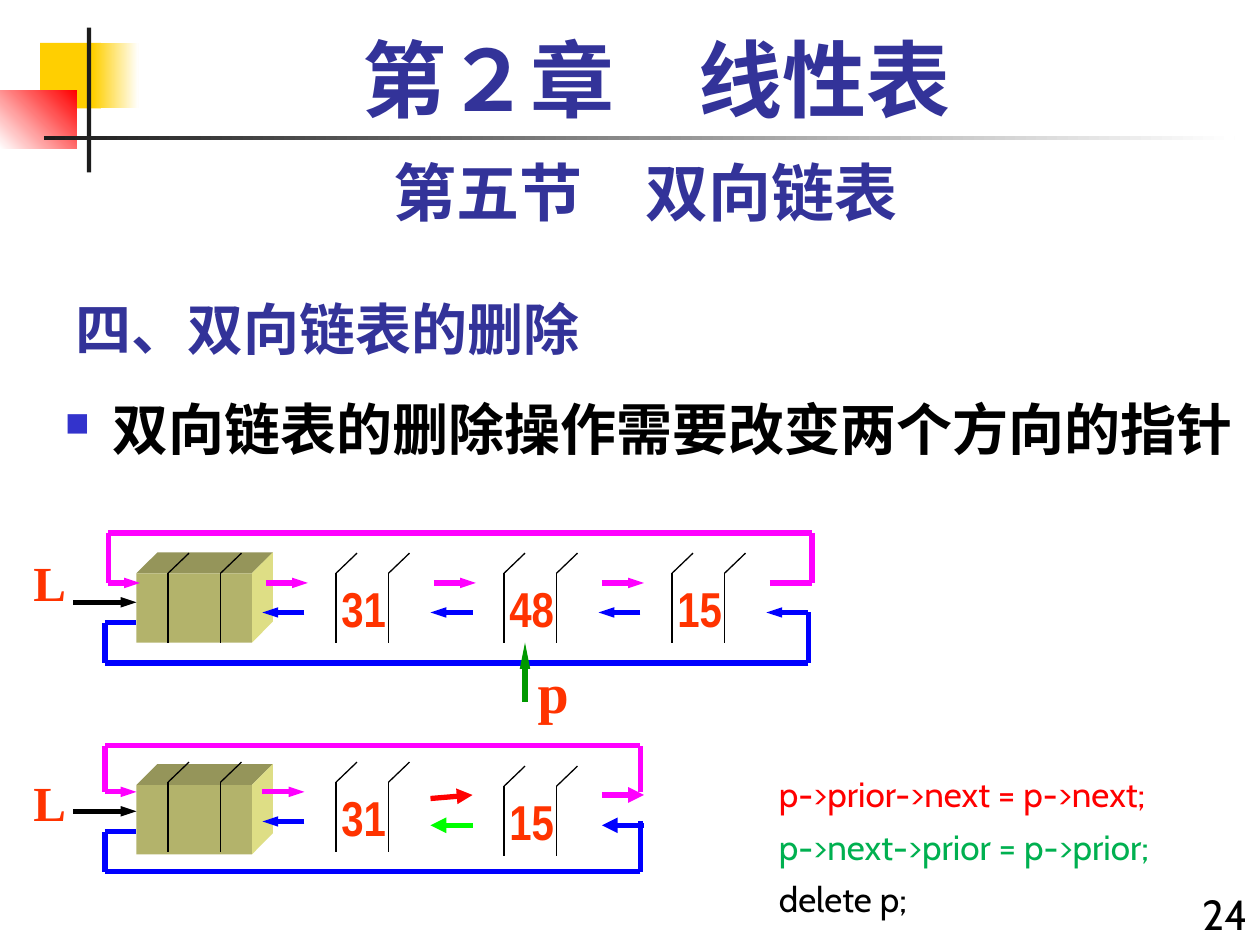
from lxml import etree
from pptx import Presentation
from pptx.dml import color as dml
from pptx.enum import shapes, text
from pptx.oxml import ns
from pptx.util import Pt

COLORS = {
    "yellow": "FFCF01", "white": "FFFFFF", "corner": "FF0000", "rule": "1C1C1C",
    "heading": "333399", "bullet": "3333CC", "ink": "000000", "label": "FF3300",
    "next": "FF00FF", "prior": "0000FF", "pointer": "009900",
    "new_next": "FF0000", "new_prior": "00FF00", "code_green": "00B050",
    "front": "B3B36B", "top": "95955A", "side": "DEDE85",
}
CJK = "Noto Sans CJK SC"
STEP = 96          # distance from one node to the next
NODE_LEFT = 96     # first pair of bars, measured from the left of a list
BARS = 30          # distance between the two bars of a node
NODE_HEIGHT = 39.6


def rgb(name):
    return dml.RGBColor.from_string(COLORS[name])


def sub(parent, tag, **attributes):
    return etree.SubElement(parent, ns.qn(tag), attributes)


def paint(shape, *names, angle=0):
    """Fill with one colour, or with a gradient from the first to the second."""
    shape.shadow.inherit = False
    shape.line.fill.background()
    if len(names) == 1:
        shape.fill.solid()
        shape.fill.fore_color.rgb = rgb(names[0])
        return
    shape.fill.gradient()
    shape.fill.gradient_angle = angle
    for stop, name in zip(shape.fill.gradient_stops, names):
        stop.color.rgb = rgb(name)


def add_rect(page, left, top, width, height, *names, angle=0):
    rect = page.shapes.add_shape(shapes.MSO_SHAPE.RECTANGLE,
                                 Pt(left), Pt(top), Pt(width), Pt(height))
    paint(rect, *names, angle=angle)


def add_face(page, points, name):
    start, *rest = [(Pt(x), Pt(y)) for x, y in points]
    builder = page.shapes.build_freeform(*start)
    builder.add_line_segments(rest)
    paint(builder.convert_to_shape(), name)


def add_line(page, x1, y1, x2, y2, name="ink", weight=3, arrow=False,
             head_width="sm", head_length="med"):
    line = page.shapes.add_connector(shapes.MSO_CONNECTOR.STRAIGHT,
                                     Pt(x1), Pt(y1), Pt(x2), Pt(y2))
    line.line.width = Pt(weight)
    line.line.color.rgb = rgb(name)
    if arrow:
        sub(line.line._get_or_add_ln(), "a:tailEnd",
            type="triangle", w=head_width, len=head_length)
    sub(line._element.spPr, "a:effectLst")


def add_path(page, points, name):
    for start, end in zip(points, points[1:]):
        add_line(page, *start, *end, name)


def add_text(page, left, top, width, height, lines, size, font,
             bold=True, align="LEFT", anchor="TOP", wrap=True, gap=0, bullet=False):
    """Write (wording, colour) lines into a text box."""
    box = page.shapes.add_textbox(Pt(left), Pt(top), Pt(width), Pt(height))
    frame = box.text_frame
    frame.word_wrap = wrap
    frame.vertical_anchor = getattr(text.MSO_ANCHOR, anchor)
    for index, (wording, name) in enumerate(lines):
        para = frame.add_paragraph() if index else frame.paragraphs[0]
        para.alignment = getattr(text.PP_ALIGN, align)
        if index:
            para.space_before = Pt(gap)
        if bullet:
            props = para._p.get_or_add_pPr()
            props.set("marL", str(Pt(27)))
            props.set("indent", str(Pt(-27)))
            sub(sub(props, "a:buClr"), "a:srgbClr", val=COLORS["bullet"])
            sub(props, "a:buSzPct", val="60000")
            sub(props, "a:buChar", char="■")
        span = para.add_run()
        span.text = wording
        for key, value in {"size": Pt(size), "bold": bold, "name": font}.items():
            setattr(span.font, key, value)
        span.font.color.rgb = rgb(name)
        sub(span._r.get_or_add_rPr(), "a:ea", typeface=CJK)


def draw_ornament(page, left, top):
    add_rect(page, left + 23, top + 24.5, 34.6, 37.5, "yellow")
    add_rect(page, left + 53.3, top + 24.5, 25.9, 37.5, "yellow", "white")
    add_rect(page, left, top + 51.8, 44, 33.1, "white", "corner", angle=45)
    add_rect(page, left + 49.7, top + 15.8, 2.5, 82.8, "rule")
    add_rect(page, left + 25.2, top + 77.8, 680.4, 2.5, "rule", "white")


def draw_headings(page, left, top):
    add_text(page, left + 48, top + 12, 654, 60, [("第２章　线性表", "heading")],
             48, "Times New Roman", align="CENTER")
    add_text(page, left + 36, top + 84, 666, 50, [("第五节　双向链表", "heading")],
             36, "Cabin", align="CENTER")
    add_text(page, left + 36, top + 156, 450, 54, [("四、双向链表的删除", "heading")],
             32, CJK, anchor="BOTTOM")
    add_text(page, left + 30, top + 222, 690, 120,
             [("双向链表的删除操作需要改变两个方向的指针", "ink")], 32, "Cabin", bullet=True)


def draw_block(page, left, top):
    """Solid head node, seen from the front with its top and right sides."""
    width, height, depth = 66, NODE_HEIGHT, 12
    right, bottom = left + width, top + height
    add_face(page, [(left, top), (left + depth, top - depth),
                    (right + depth, top - depth), (right, top)], "top")
    add_face(page, [(right, top), (right + depth, top - depth),
                    (right + depth, bottom - depth), (right, bottom)], "side")
    add_rect(page, left, top, width, height, "front")


def draw_node(page, left, top, value=None):
    for x in (left, left + BARS):
        add_line(page, x, top, x, top + NODE_HEIGHT, weight=0.75)
        add_line(page, x, top, x + 12, top - 11.5, weight=0.75)
    if value:
        add_text(page, left - 4.3, top - 0.7, 40.3, 41, [(value, "label")],
                 28, "Arial Narrow", align="CENTER", anchor="MIDDLE", wrap=False)


def draw_list(page, left, top, nodes, label_rise, block_drop, loop_rise, shift):
    """Head block, nodes as (value, drop), and both loops; shift moves the next links."""
    next_y, prior_y, end_y = top + 5.5, top + 22.4, top + 28.2
    right = left + 174 + STEP * len(nodes)
    add_text(page, left + 12, top - label_rise, 33, 41, [("L", "label")],
             28, "Times New Roman", align="CENTER", anchor="MIDDLE", wrap=False)
    draw_block(page, left + 78, top + block_drop)
    draw_node(page, left + NODE_LEFT, top)
    add_line(page, left + 42, top + 16.6, left + 78, top + 16.6, arrow=True)
    for index, (value, drop) in enumerate(nodes, 1):
        draw_node(page, left + NODE_LEFT + STEP * index, top + drop, value)
    start = left + 60 + shift
    add_path(page, [(right + shift, next_y), (right + shift, top - loop_rise),
                    (start, top - loop_rise), (start, next_y)], "next")
    add_line(page, start, next_y, start + 18, next_y, "next", arrow=True)
    add_path(page, [(right, prior_y), (right, top + 51.2), (left + 60, top + 51.2),
                    (left + 60, end_y), (left + 78, end_y)], "prior")


def draw_links(page, left, next_y, prior_y, shift=0, names=("next", "prior"),
               lift=0, head_width="sm"):
    """Pair of arrows between neighbouring nodes."""
    add_line(page, left + shift, next_y + lift, left + shift + 24, next_y, names[0],
             arrow=True, head_width=head_width)
    add_line(page, left + 24, prior_y, left, prior_y, names[1],
             arrow=True, head_width=head_width)


def draw_before(page, left, top):
    draw_list(page, left, top, [("31", 0), ("48", 0), ("15", 0)],
              label_rise=15.8, block_drop=0, loop_rise=23, shift=2)
    for index in range(3):
        draw_links(page, left + 150 + STEP * index, top + 5.5, top + 22.4, shift=2)
    last = left + 150 + STEP * 3
    add_line(page, last + 2, top + 5.5, last + 26, top + 5.5, "next")
    add_line(page, last + 24, top + 22.4, last, top + 22.4, "prior", arrow=True)
    add_line(page, left + 300, top + 73.4, left + 300, top + NODE_HEIGHT, "pointer",
             arrow=True, head_length="lg")
    add_text(page, left + 300, top + 44.6, 32.4, 45.4, [("p", "label")],
             32, "Times New Roman", align="CENTER", anchor="MIDDLE", wrap=False)


def draw_after(page, left, top):
    draw_list(page, left, top, [("31", 0), ("15", 2.3)],
              label_rise=9.2, block_drop=1.6, loop_rise=20.8, shift=0)
    draw_links(page, left + 150, top + 5.5, top + 22.4)
    draw_links(page, left + 246, top + 7.3, top + 24.6, names=("new_next", "new_prior"),
               lift=2, head_width="med")
    draw_links(page, left + 344, top + 7.3, top + 24.6, head_width="med")


def main():
    deck = Presentation()
    deck.slide_width, deck.slide_height = Pt(720), Pt(540)
    page = deck.slides.add_slide(deck.slide_layouts[6])
    draw_ornament(page, 0, 0)
    draw_headings(page, 0, 0)
    draw_before(page, 0, 327.6)
    draw_after(page, 0, 447)
    add_text(page, 438, 438, 282, 94,
             [("p->prior->next = p->next;", "new_next"),
              ("p->next->prior = p->prior;", "code_green"), ("delete p;", "ink")],
             20, "Cabin", bold=False, gap=6)
    add_text(page, 672, 504, 48, 36, [("24", "ink")], 24, "Cabin", bold=False, align="RIGHT")
    deck.save("out.pptx")


if __name__ == "__main__":
    main()
